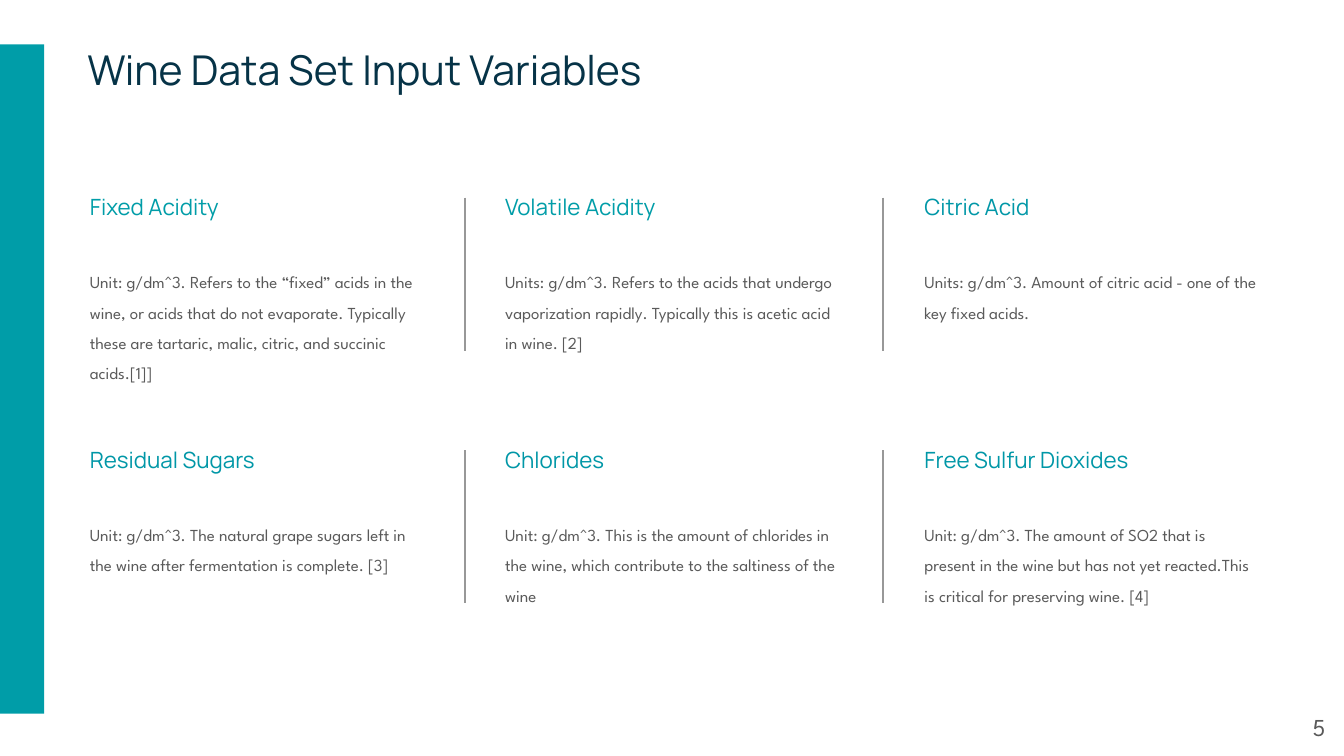
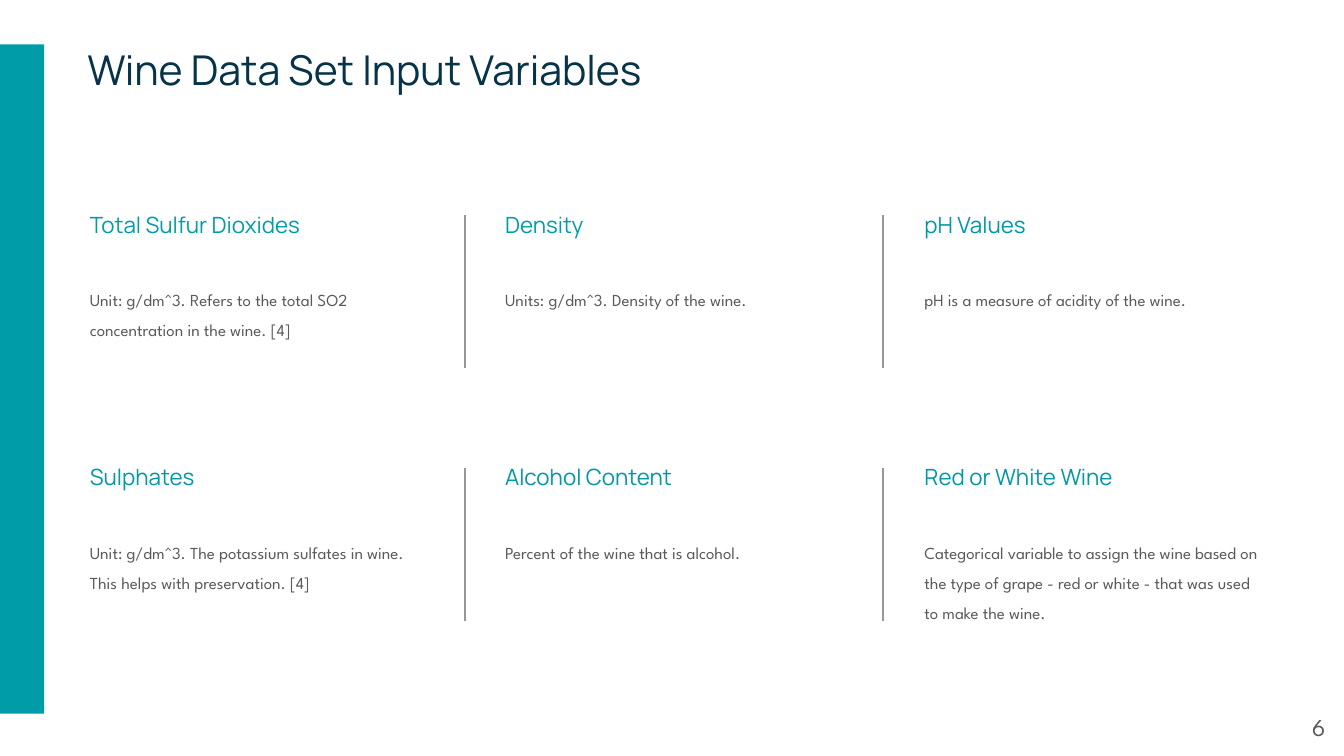
"""Build two slides describing the input variables of the wine data set."""
from dataclasses import dataclass

import pptx
import pptx.dml.color
import pptx.enum.shapes
import pptx.enum.text
import pptx.oxml
import pptx.util
from pptx.util import Inches

TITLE = "Wine Data Set Input Variables"

SLIDES = [
    {
        "number": "5",
        "grid_top": 1.34,
        "variables": [
            ("Fixed Acidity", "Unit: g/dm^3. Refers to the “fixed” acids in the wine, or acids that do not "
             "evaporate. Typically these are tartaric, malic, citric, and succinic acids.[1]]"),
            ("Volatile Acidity", "Units: g/dm^3. Refers to the acids that undergo vaporization rapidly. "
             "Typically this is acetic acid in wine. [2]"),
            ("Citric Acid", "Units: g/dm^3. Amount of citric acid - one of the key fixed acids."),
            ("Residual Sugars", "Unit: g/dm^3. The natural grape sugars left in the wine after "
             "fermentation is complete. [3]"),
            ("Chlorides", "Unit: g/dm^3. This is the amount of chlorides in the wine, which contribute "
             "to the saltiness of the wine"),
            ("Free Sulfur Dioxides", "Unit: g/dm^3. The amount of SO2 that is present in the wine but has "
             "not yet reacted.This is critical for preserving wine. [4]"),
        ],
    },
    {
        "number": "6",
        "grid_top": 1.47,
        "variables": [
            ("Total Sulfur Dioxides", "Unit: g/dm^3. Refers to the total SO2 concentration in the wine. [4]"),
            ("Density", "Units: g/dm^3. Density of the wine."),
            ("pH Values", "pH is a measure of acidity of the wine."),
            ("Sulphates", "Unit: g/dm^3. The potassium sulfates in wine. This helps with preservation. [4]"),
            ("Alcohol Content", "Percent of the wine that is alcohol."),
            ("Red or White Wine", "Categorical variable to assign the wine based on the type of grape - "
             "red or white - that was used to make the wine."),
        ],
    },
]


@dataclass(frozen=True)
class TextStyle:
    font: str
    size: float
    color: str
    line_spacing: float = 1.0
    inset: float = 0.1
    align: pptx.enum.text.PP_ALIGN = pptx.enum.text.PP_ALIGN.LEFT
    anchor: pptx.enum.text.MSO_ANCHOR = pptx.enum.text.MSO_ANCHOR.TOP


@dataclass(frozen=True)
class Theme:
    background: str = "FFFFFF"
    band: str = "009DA8"
    divider: str = "989898"
    divider_width: float = 0.75
    title: TextStyle = TextStyle("Manrope", 22, "063347", inset=0)
    lead_heading: TextStyle = TextStyle("Manrope", 12, "009DA8")
    heading: TextStyle = TextStyle("Manrope", 12, "0097A7")
    body: TextStyle = TextStyle("League Spartan", 9, "5A5A5A", line_spacing=1.5)
    page_number: TextStyle = TextStyle(
        "League Spartan", 13, "595959",
        align=pptx.enum.text.PP_ALIGN.RIGHT, anchor=pptx.enum.text.MSO_ANCHOR.MIDDLE)


THEME = Theme()
COLUMN_LEFTS = (0.57, 3.66, 6.78)
DIVIDER_LEFTS = (3.46, 6.57)
COLUMN_WIDTH = 2.69
HEADING_HEIGHT = 0.43
BODY_HEIGHTS = (0.67, 0.67, 0.87)
BODY_OFFSET = 0.51
ROW_PITCH = 1.88
DIVIDER_OFFSET = 0.13
DIVIDER_LENGTH = 1.14
LEAD_COUNT = 2


def rgb(color):
    return pptx.dml.color.RGBColor.from_string(color)


def add_text(slide, text, left, top, width, height, style):
    box = slide.shapes.add_textbox(Inches(left), Inches(top), Inches(width), Inches(height))
    frame = box.text_frame
    frame.word_wrap = True
    frame.vertical_anchor = style.anchor
    frame.margin_left = frame.margin_right = Inches(style.inset)
    frame.margin_top = frame.margin_bottom = Inches(style.inset)
    paragraph = frame.paragraphs[0]
    paragraph.text = text
    paragraph.alignment = style.align
    paragraph.line_spacing = style.line_spacing
    paragraph.font.name = style.font
    paragraph.font.size = pptx.util.Pt(style.size)
    paragraph.font.color.rgb = rgb(style.color)


def add_divider(slide, left, top):
    line = slide.shapes.add_connector(
        pptx.enum.shapes.MSO_CONNECTOR.STRAIGHT,
        Inches(left), Inches(top), Inches(left), Inches(top + DIVIDER_LENGTH))
    line.line.color.rgb = rgb(THEME.divider)
    line.line.width = pptx.util.Pt(THEME.divider_width)
    properties = line.element.spPr
    properties.append(properties.makeelement(pptx.oxml.ns.qn("a:effectLst"), {}))


def add_frame(slide, number):
    slide.background.fill.solid()
    slide.background.fill.fore_color.rgb = rgb(THEME.background)
    band = slide.shapes.add_shape(
        pptx.enum.shapes.MSO_SHAPE.RECTANGLE, 0, Inches(0.33), Inches(0.33), Inches(4.98))
    band.shadow.inherit = False
    band.fill.solid()
    band.fill.fore_color.rgb = rgb(THEME.band)
    band.line.fill.background()
    add_text(slide, TITLE, 0.65, 0.33, 8.75, 0.63, THEME.title)
    add_text(slide, number, 9.36, 5.19, 0.6, 0.43, THEME.page_number)


def add_variables(slide, variables, grid_top):
    for index, (name, description) in enumerate(variables):
        row, column = divmod(index, len(COLUMN_LEFTS))
        left = COLUMN_LEFTS[column]
        top = grid_top + row * ROW_PITCH
        heading = THEME.lead_heading if index < LEAD_COUNT else THEME.heading
        add_text(slide, name, left, top, COLUMN_WIDTH, HEADING_HEIGHT, heading)
        add_text(slide, description, left, top + BODY_OFFSET,
                 COLUMN_WIDTH, BODY_HEIGHTS[column], THEME.body)
        if column < len(DIVIDER_LEFTS):
            add_divider(slide, DIVIDER_LEFTS[column], top + DIVIDER_OFFSET)


def main():
    presentation = pptx.Presentation()
    presentation.slide_width = Inches(10)
    presentation.slide_height = presentation.slide_width * 9 // 16
    for content in SLIDES:
        slide = presentation.slides.add_slide(presentation.slide_layouts[6])
        add_frame(slide, content["number"])
        add_variables(slide, content["variables"], content["grid_top"])
    presentation.save("out.pptx")


if __name__ == "__main__":
    main()
